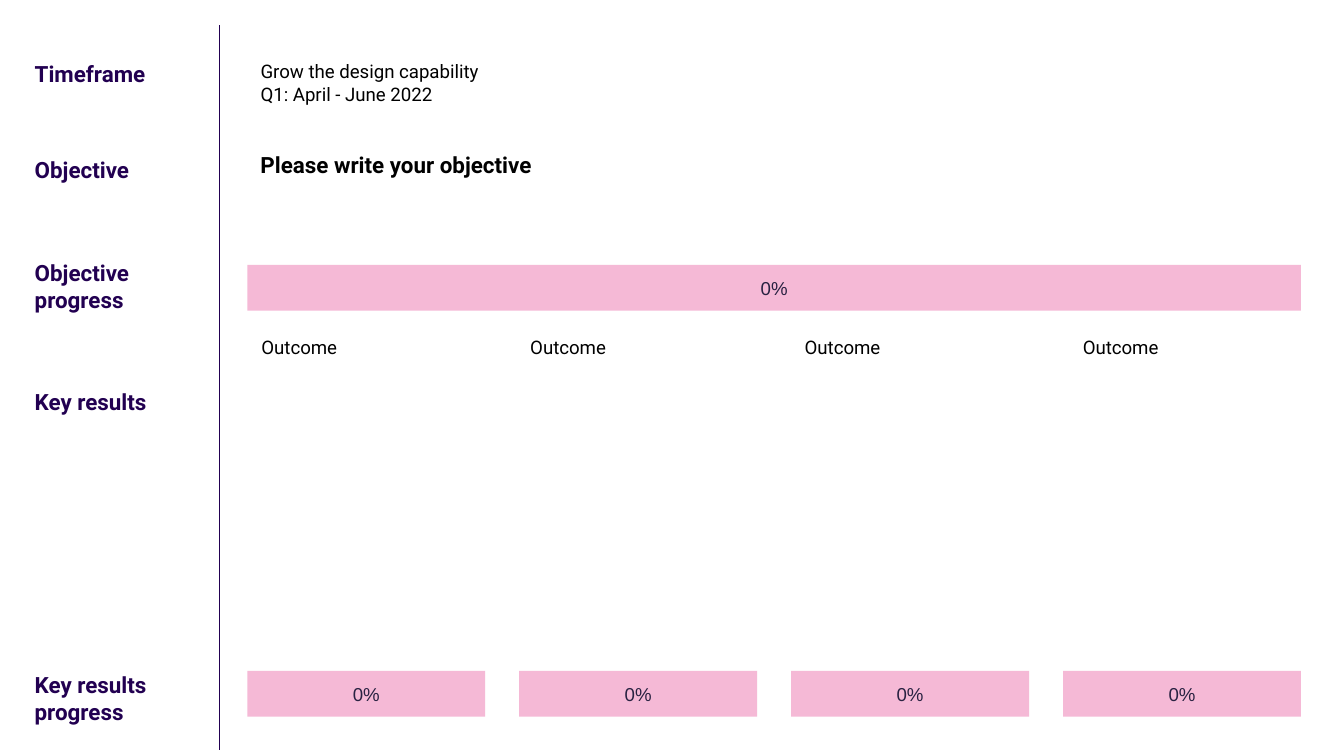
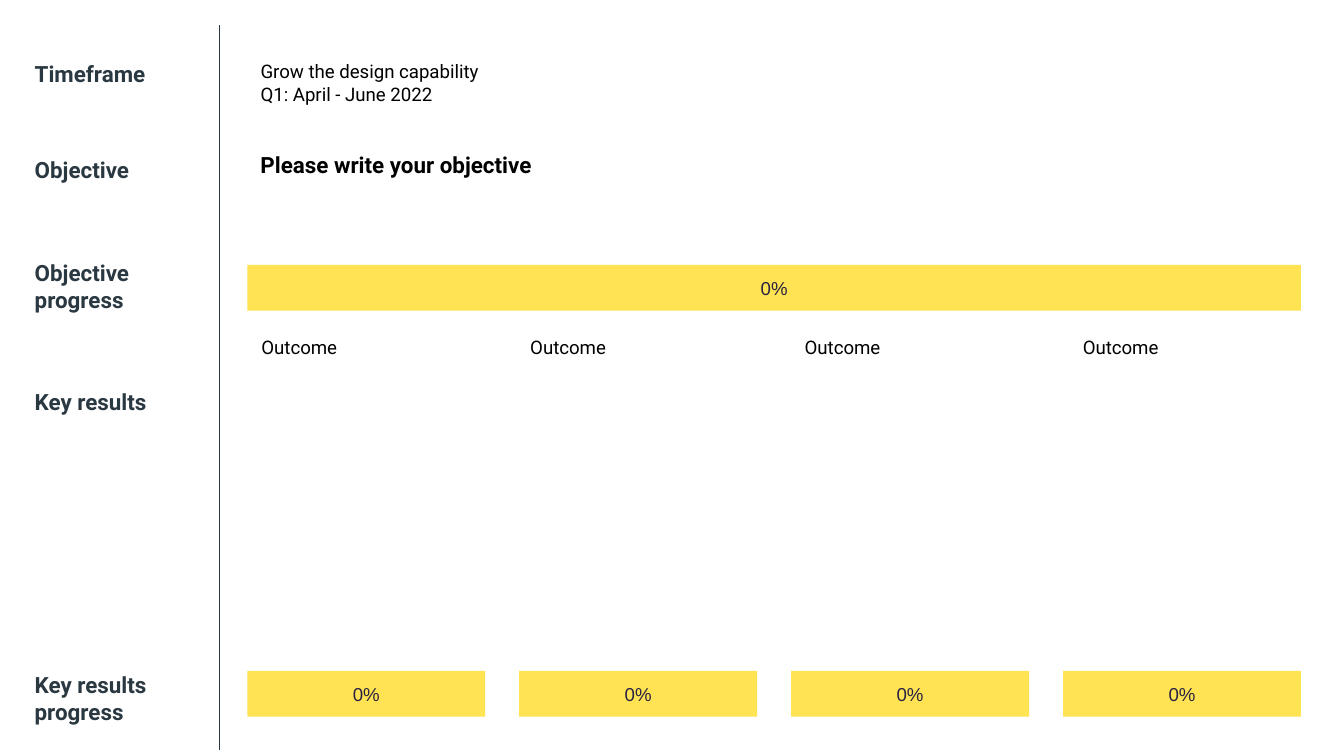
from collections import namedtuple

from lxml.etree import SubElement
from pptx import Presentation
from pptx.dml.color import RGBColor
from pptx.enum.shapes import MSO_CONNECTOR as Connector, MSO_SHAPE as Preset
from pptx.enum.text import MSO_ANCHOR as Anchor, PP_ALIGN as Align
from pptx.oxml.ns import qn
from pptx.util import Pt

PURPLE = RGBColor(0x22, 0x00, 0x51)
PINK = RGBColor(0xF5, 0xB9, 0xD6)
SLATE = RGBColor(0x2A, 0x38, 0x41)
YELLOW = RGBColor(0xFF, 0xE3, 0x52)
BLACK = RGBColor(0x00, 0x00, 0x00)
INK = RGBColor(0x29, 0x22, 0x42)

INSET = 7.2
BAR_HEIGHT = 24.5

Box = namedtuple("Box", "left top width height")
Theme = namedtuple("Theme", "accent bar")

THEMES = [Theme(PURPLE, PINK), Theme(SLATE, YELLOW)]
SIDEBAR = Box(11.5, 25, 106, 373)
HEADER = Box(132.5, 25, 564.5, 93)
OBJECTIVE_BAR = Box(132.5, 142, 564.5, BAR_HEIGHT)
OUTCOMES = Box(133, 174, 564, 127)
RESULT_BARS = Box(132.5, 359.5, 564.5, BAR_HEIGHT)

LABELS = [
    ("Timeframe", 0, 98.5),
    ("Objective", 51.5, 98.5),
    ("Objective progress", 106.5, 112),
    ("Key results", 176, 80.5),
    ("Key results progress", 327.5, 80.5),
]
OUTCOME_COLUMNS = [(0, 124), (144, 127.5), (291, 129), (440, 124)]
RESULT_COUNT = 4
RESULT_WIDTH = 127.5


def write(shape, text, size=10, font="Roboto", color=BLACK, bold=False,
          align=Align.LEFT, anchor=Anchor.TOP):
    frame = shape.text_frame
    frame.word_wrap = True
    frame.vertical_anchor = anchor
    frame.margin_left = frame.margin_right = Pt(INSET)
    frame.margin_top = frame.margin_bottom = Pt(INSET)
    frame.text = text
    for paragraph in frame.paragraphs:
        paragraph.alignment = align
        for run in paragraph.runs:
            run.font.size = Pt(size)
            run.font.name = font
            run.font.bold = bold
            run.font.color.rgb = color


def add_text(slide, box, text, **text_format):
    write(slide.shapes.add_textbox(*map(Pt, box)), text, **text_format)


def add_progress_bar(slide, box, color):
    bar = slide.shapes.add_shape(Preset.RECTANGLE, *map(Pt, box))
    bar.shadow.inherit = False
    bar.fill.solid()
    bar.fill.fore_color.rgb = color
    bar.line.fill.background()
    write(bar, "0%", font="Arial", color=INK, align=Align.CENTER, anchor=Anchor.MIDDLE)


def add_sidebar(slide, box, color):
    for text, offset, width in LABELS:
        label = Box(box.left, box.top + offset, width, 45)
        add_text(slide, label, text, size=12, color=color, bold=True)
    x = Pt(box.left + box.width)
    divider = slide.shapes.add_connector(
        Connector.STRAIGHT, x, Pt(box.top - 11.5), x, Pt(box.top + box.height + 4))
    divider.line.color.rgb = color
    divider.line.width = Pt(0.75)
    SubElement(divider._element.spPr, qn("a:effectLst"))


def add_header(slide, box):
    add_text(slide, Box(box.left, box.top, 215, 37.5),
             "Grow the design capability\nQ1: April - June 2022")
    add_text(slide, Box(box.left, box.top + 49, box.width, 44),
             "Please write your objective", size=12, bold=True)


def add_outcomes(slide, box):
    for offset, width in OUTCOME_COLUMNS:
        add_text(slide, Box(box.left + offset, box.top, width, box.height), "Outcome")


def add_result_bars(slide, box, color):
    step = (box.width - RESULT_WIDTH) / (RESULT_COUNT - 1)
    for index in range(RESULT_COUNT):
        bar = Box(box.left + index * step, box.top, RESULT_WIDTH, box.height)
        add_progress_bar(slide, bar, color)


def add_okr_slide(presentation, theme):
    slide = presentation.slides.add_slide(presentation.slide_layouts[6])
    add_sidebar(slide, SIDEBAR, theme.accent)
    add_header(slide, HEADER)
    add_progress_bar(slide, OBJECTIVE_BAR, theme.bar)
    add_outcomes(slide, OUTCOMES)
    add_result_bars(slide, RESULT_BARS, theme.bar)


def main():
    presentation = Presentation()
    presentation.slide_width = Pt(720)
    presentation.slide_height = Pt(405)
    for theme in THEMES:
        add_okr_slide(presentation, theme)
    presentation.save("out.pptx")


if __name__ == "__main__":
    main()
